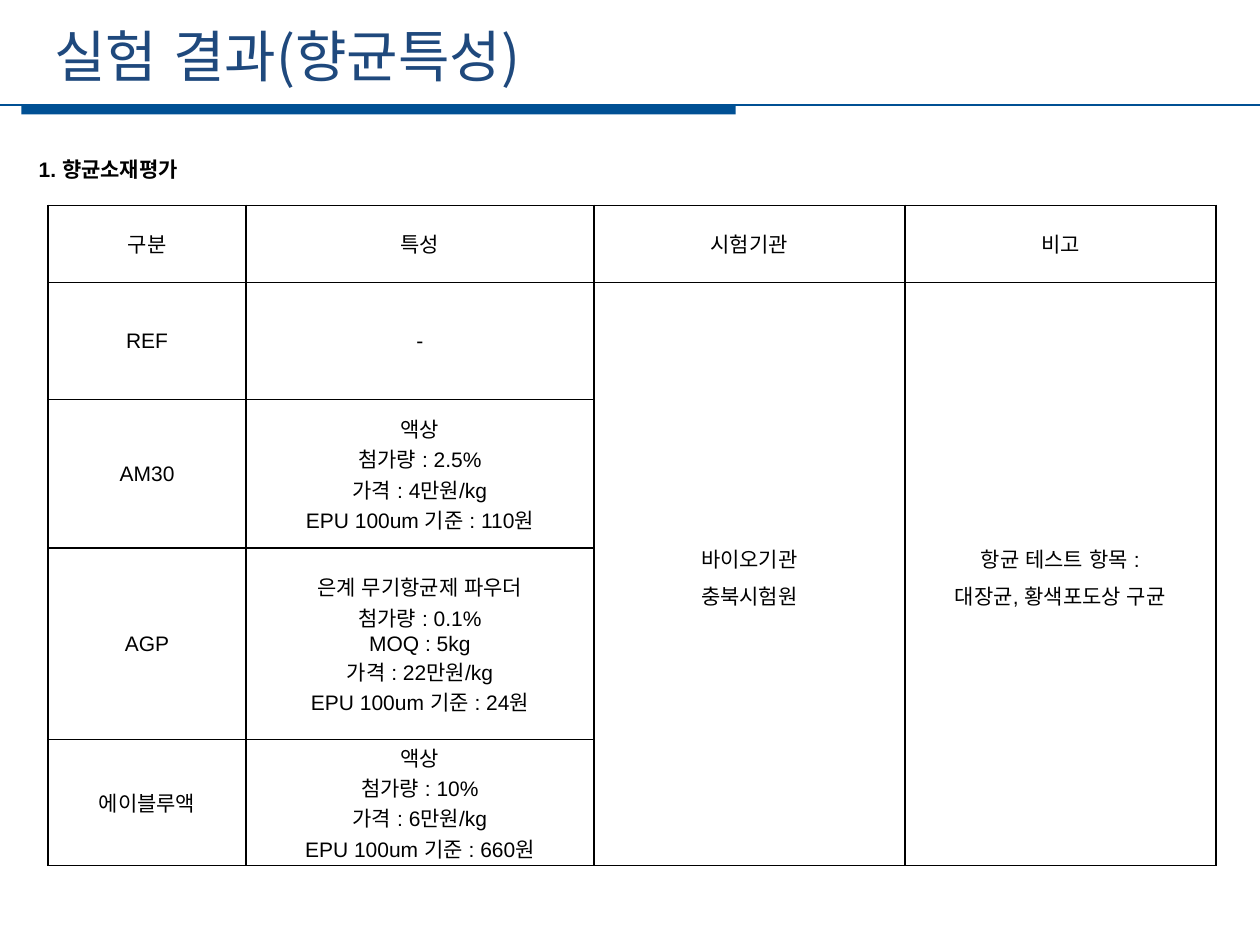
import lxml.etree
import pptx
import pptx.dml.color
import pptx.enum.shapes
import pptx.enum.text
import pptx.oxml
import pptx.oxml.ns
import pptx.util

Cm = pptx.util.Cm
Pt = pptx.util.Pt
RGBColor = pptx.dml.color.RGBColor
PP_ALIGN = pptx.enum.text.PP_ALIGN
MSO_ANCHOR = pptx.enum.text.MSO_ANCHOR
qn = pptx.oxml.ns.qn

BLACK = RGBColor(0x00, 0x00, 0x00)
BLUE = RGBColor(0x00, 0x50, 0x94)
NAVY = RGBColor(0x1F, 0x49, 0x7D)
KOREAN = "Noto Sans CJK KR"

COLS = [3.99, 7.01, 6.27, 6.27]
ROWS = [1.55, 2.36, 3, 3.86, 2.54]
HEADER = ["구분", "특성", "시험기관", "비고"]
MATERIALS = [
    ("REF", "-"),
    ("AM30", "액상\n첨가량 : 2.5%\n가격 : 4만원/kg\nEPU 100um 기준 : 110원"),
    ("AGP", "은계 무기항균제 파우더\n첨가량 : 0.1%\nMOQ : 5kg\n가격 : 22만원/kg\n"
            "EPU 100um 기준 : 24원"),
    ("에이블루액", "액상\n첨가량 : 10%\n가격 : 6만원/kg\nEPU 100um 기준 : 660원"),
]
MERGED = {2: "바이오기관\n충북시험원", 3: "항균 테스트 항목 :\n대장균, 황색포도상 구균"}


def write(tf, text, size=12, font="Arial", color=BLACK, bold=False,
          align=PP_ALIGN.LEFT, spacing=1.0):
    """Write each line of text as a formatted paragraph."""
    for i, line in enumerate(text.split("\n")):
        p = tf.paragraphs[0] if i == 0 else tf.add_paragraph()
        p.alignment = align
        p.line_spacing = spacing
        r = p.add_run()
        r.text = line
        r.font.size = Pt(size)
        r.font.name = font
        r.font.bold = bold
        r.font.color.rgb = color
        rpr = r.font._element
        rpr.set("lang", "ko-KR")
        ea = lxml.etree.Element(qn("a:ea"), typeface=KOREAN)
        rpr.find(qn("a:latin")).addnext(ea)


def add_title(s, text):
    """Place and format the title placeholder."""
    sp = s.shapes.title
    sp.left, sp.top, sp.width, sp.height = Cm(0.84), Cm(0.3), Cm(22.76), Cm(1.63)
    tf = sp.text_frame
    tf.auto_size = pptx.enum.text.MSO_AUTO_SIZE.NONE
    tf.vertical_anchor = MSO_ANCHOR.MIDDLE
    write(tf, text, size=32, font=KOREAN, color=NAVY)


def add_rule(s):
    """Draw the thick bar and the thin line under the title."""
    bar = s.shapes.add_shape(pptx.enum.shapes.MSO_SHAPE.RECTANGLE,
                             Cm(0.43), Cm(2.11), Cm(14.4), Cm(0.2))
    bar.shadow.inherit = False
    bar.fill.solid()
    bar.fill.fore_color.rgb = BLUE
    bar.line.fill.background()
    line = s.shapes.add_connector(pptx.enum.shapes.MSO_CONNECTOR.STRAIGHT,
                                  Cm(0), Cm(2.11), Cm(25.4), Cm(2.11))
    line.line.color.rgb = BLUE
    line.line.width = Pt(1.25)
    lxml.etree.SubElement(line._element.spPr, qn("a:effectLst"))


def add_heading(s, text):
    """Add the section heading above the table."""
    sp = s.shapes.add_textbox(Cm(0.53), Cm(2.77), Cm(3.58), Cm(0.91))
    sp.text_frame.word_wrap = False
    write(sp.text_frame, text, bold=True, spacing=1.5)


def style_cell(cell):
    """Give a cell thin black borders, no fill and a middle anchor."""
    tcpr = cell._tc.get_or_add_tcPr()
    for side in ("lnL", "lnR", "lnT", "lnB"):
        ln = lxml.etree.SubElement(tcpr, qn("a:" + side), w=str(Pt(1)))
        fill = lxml.etree.SubElement(ln, qn("a:solidFill"))
        lxml.etree.SubElement(fill, qn("a:srgbClr"), val=str(BLACK))
    cell.fill.background()
    cell.vertical_anchor = MSO_ANCHOR.MIDDLE
    cell.margin_top = cell.margin_bottom = Cm(0)


def add_results(s):
    """Add the table of tested materials."""
    table = s.shapes.add_table(len(ROWS), len(COLS), Cm(0.97), Cm(4.14),
                               Cm(sum(COLS)), Cm(sum(ROWS))).table
    table.first_row = table.horz_banding = False
    for col, width in zip(table.columns, COLS):
        col.width = Cm(width)
    for row, height in zip(table.rows, ROWS):
        row.height = Cm(height)
        for cell in row.cells:
            style_cell(cell)
    for i, texts in enumerate([HEADER, *MATERIALS]):
        for j, text in enumerate(texts):
            write(table.cell(i, j).text_frame, text, align=PP_ALIGN.CENTER)
    for j, text in MERGED.items():
        cell = table.cell(1, j)
        cell.merge(table.cell(len(ROWS) - 1, j))
        write(cell.text_frame, text, align=PP_ALIGN.CENTER, spacing=1.2)


def main():
    """Build and save the slide."""
    prs = pptx.Presentation()
    prs.slide_width, prs.slide_height = Cm(25.4), Cm(19.05)
    s = prs.slides.add_slide(prs.slide_layouts[5])
    add_rule(s)
    add_title(s, "실험 결과(향균특성)")
    add_heading(s, "1. 향균소재평가")
    add_results(s)
    prs.save("out.pptx")


if __name__ == "__main__":
    main()
